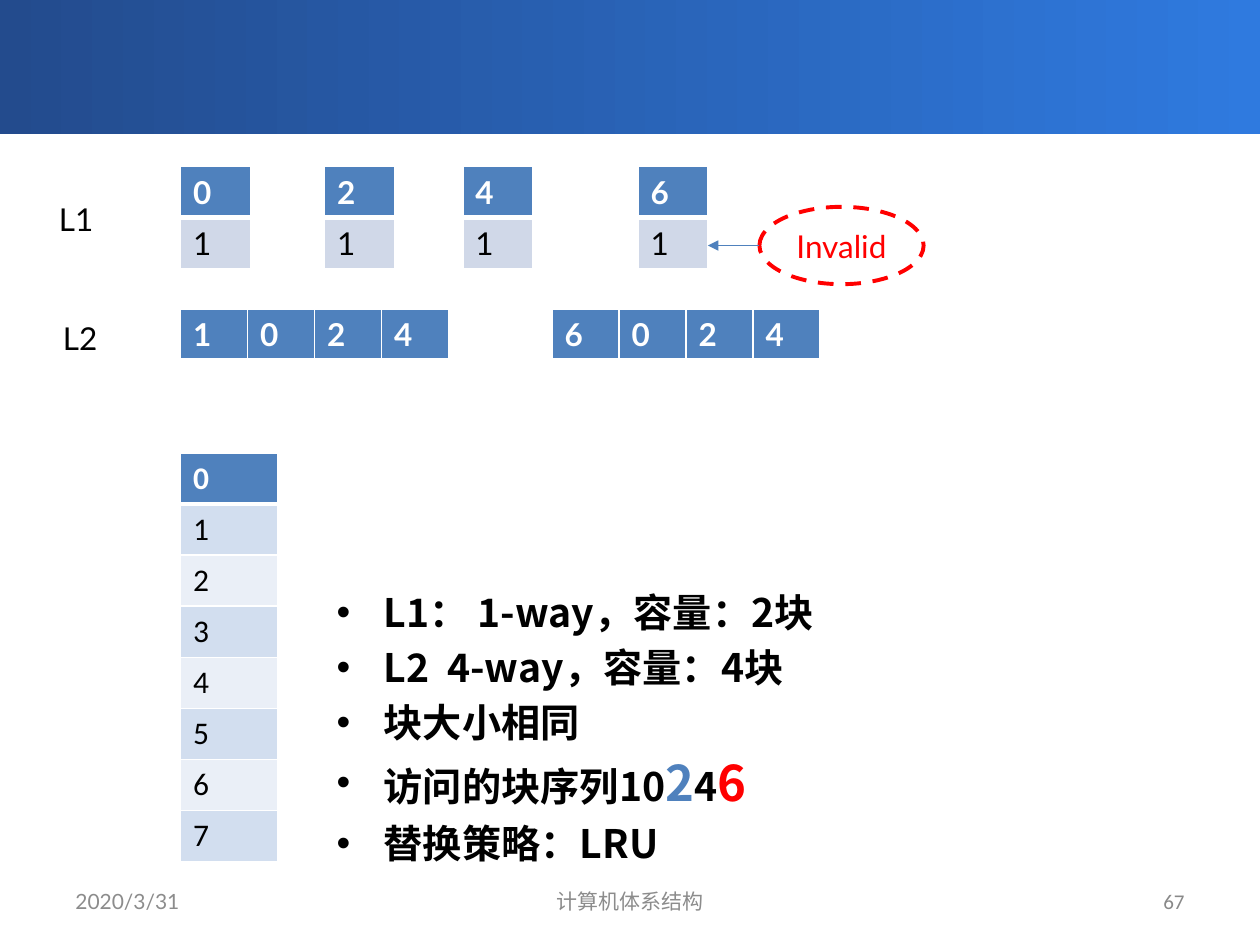
from pptx import Presentation
from pptx.dml.color import RGBColor
from pptx.enum.dml import MSO_LINE
from pptx.enum.shapes import MSO_CONNECTOR, MSO_SHAPE
from pptx.enum.text import MSO_ANCHOR, PP_ALIGN
from pptx.oxml.ns import qn
from pptx.util import Cm, Pt
from lxml.etree import SubElement

WHITE = RGBColor(0xFF, 0xFF, 0xFF)
BLACK = RGBColor(0, 0, 0)
RED = RGBColor(0xFF, 0, 0)
BLUE = RGBColor(0x4F, 0x81, 0xBD)
BAND_DARK = RGBColor(0x23, 0x4B, 0x8D)
BAND_LIGHT = RGBColor(0x2F, 0x7A, 0xDF)
CACHE_ROW = RGBColor(0xD0, 0xD8, 0xE8)
MEMORY_ODD = RGBColor(0xD2, 0xDE, 0xEF)
MEMORY_EVEN = RGBColor(0xEA, 0xEF, 0xF7)
GREY = RGBColor(0x8C, 0x8C, 0x8C)
PAGE_GREY = RGBColor(0x89, 0x89, 0x89)

ROW_HEIGHT = 1.03


def write(tf, text, align=PP_ALIGN.LEFT, anchor=MSO_ANCHOR.TOP, **font):
    """Fill a text frame with one formatted run."""
    tf.word_wrap = True
    tf.vertical_anchor = anchor
    p = tf.paragraphs[0]
    p.alignment = align
    r = p.add_run()
    r.text = text
    color = font.pop("color")
    for key, value in font.items():
        setattr(r.font, key, value)
    r.font.color.rgb = color


def add_blocks(rows, left, top, col_width, fills, name="Lato"):
    """Add a table of blocks whose first row is the header."""
    n_rows, n_cols = len(rows), len(rows[0])
    table = s.shapes.add_table(n_rows, n_cols, Cm(left), Cm(top),
                               Cm(col_width * n_cols),
                               Cm(ROW_HEIGHT * n_rows)).table
    for col in table.columns:
        col.width = Cm(col_width)
    for i, row in enumerate(rows):
        table.rows[i].height = Cm(ROW_HEIGHT)
        for j, text in enumerate(row):
            cell = table.cell(i, j)
            write(cell.text_frame, text, name=name, size=Pt(18),
                  bold=i == 0, color=WHITE if i == 0 else BLACK)
            tcPr = cell._tc.get_or_add_tcPr()
            widths = {"L": 1, "R": 1, "T": 3 if i == 1 else 1,
                      "B": 3 if i == 0 else 1}
            for side, width in widths.items():
                ln = SubElement(tcPr, qn(f"a:ln{side}"), w=str(Pt(width)))
                fill = SubElement(ln, qn("a:solidFill"))
                SubElement(fill, qn("a:srgbClr"), val=str(WHITE))
            cell.fill.solid()
            cell.fill.fore_color.rgb = fills[i]


prs = Presentation()
prs.slide_width, prs.slide_height = Cm(25.4), Cm(19.05)
s = prs.slides.add_slide(prs.slide_layouts[1])
title = s.shapes.title
title.element.getparent().remove(title.element)

# Header band
band = s.shapes.add_shape(MSO_SHAPE.RECTANGLE, 0, 0, prs.slide_width, Cm(2.71))
band.shadow.inherit = False
band.line.fill.background()
band.fill.gradient()
band.fill.gradient_angle = 0
for stop, color in zip(band.fill.gradient_stops, (BAND_DARK, BAND_LIGHT)):
    stop.color.rgb = color

# Cache parameters
body = s.placeholders[1]
body.left, body.top, body.width, body.height = Cm(6.53), Cm(11.73), Cm(17.55), Cm(5.13)
facts = [
    [("L1： 1-way，容量：2块", 22.4, BLACK)],
    [("L2  4-way，容量：4块", 22.4, BLACK)],
    [("块大小相同", 22.4, BLACK)],
    [("访问的块序列10", 22.4, BLACK), ("2", 28, BLUE),
     ("4", 22.4, BLACK), ("6", 28, RED)],
    [("替换策略：LRU", 22.4, BLACK)],
]
tf = body.text_frame
for i, runs in enumerate(facts):
    p = tf.paragraphs[0] if i == 0 else tf.add_paragraph()
    pPr = p._p.get_or_add_pPr()
    pPr.set("marL", str(Cm(0.95)))
    pPr.set("indent", str(Cm(-0.95)))
    SubElement(pPr, qn("a:buFont"), typeface="Arial")
    SubElement(pPr, qn("a:buChar"), char="•")
    p.space_before = Pt(4.5 if i else 0)
    for text, size, color in runs:
        r = p.add_run()
        r.text = text
        for key, value in {"name": "Noto Sans CJK SC", "size": Pt(size), "bold": True}.items():
            setattr(r.font, key, value)
        r.font.color.rgb = color

# Footer
for left, width, text, align, name, color in [
    (1.27, 5.93, "2020/3/31", PP_ALIGN.LEFT, "Lato", GREY),
    (8.68, 8.04, "计算机体系结构", PP_ALIGN.CENTER, "Lato", GREY),
    (18.2, 5.93, "67", PP_ALIGN.RIGHT, "Calibri", PAGE_GREY),
]:
    box = s.shapes.add_textbox(Cm(left), Cm(17.66), Cm(width), Cm(1.01))
    write(box.text_frame, text, align, MSO_ANCHOR.MIDDLE,
          name=name, size=Pt(12), color=color)

# Memory blocks, L1 states and L2 states
add_blocks([[str(n)] for n in range(8)], 3.64, 9.13, 1.95,
           [BLUE] + [MEMORY_ODD, MEMORY_EVEN] * 3 + [MEMORY_ODD], "Calibri")
for left, block in [(3.64, "0"), (6.54, "2"), (9.33, "4"), (12.86, "6")]:
    add_blocks([[block], ["1"]], left, 3.36, 1.41, [BLUE, CACHE_ROW])
for left, blocks in [(3.64, "1024"), (11.13, "6024")]:
    add_blocks([blocks], left, 6.24, 1.35, [BLUE])

# Invalidated block
oval = s.shapes.add_shape(MSO_SHAPE.OVAL, Cm(15.31), Cm(4.17), Cm(3.31), Cm(1.56))
oval.shadow.inherit = False
oval.fill.background()
oval.line.color.rgb = RED
oval.line.width = Pt(2.25)
oval.line.dash_style = MSO_LINE.DASH
write(oval.text_frame, "Invalid", PP_ALIGN.CENTER, MSO_ANCHOR.MIDDLE,
      name="Lato", size=Pt(18), color=RED)

arrow = s.shapes.add_connector(MSO_CONNECTOR.STRAIGHT, Cm(15.31), Cm(4.95),
                               Cm(14.27), Cm(4.95))
arrow.line.color.rgb = BLUE
arrow.line.width = Pt(1)
SubElement(arrow.line._get_or_add_ln(), qn("a:tailEnd"), type="triangle")
SubElement(arrow._element.spPr, qn("a:effectLst"))

# Level labels
for text, left, top, width in [("L1", 0.94, 3.91, 1.4), ("L2", 1.02, 6.3, 1.22)]:
    box = s.shapes.add_textbox(Cm(left), Cm(top), Cm(width), Cm(1.02))
    write(box.text_frame, text, name="Lato", size=Pt(18), color=BLACK)

prs.save("out.pptx")
